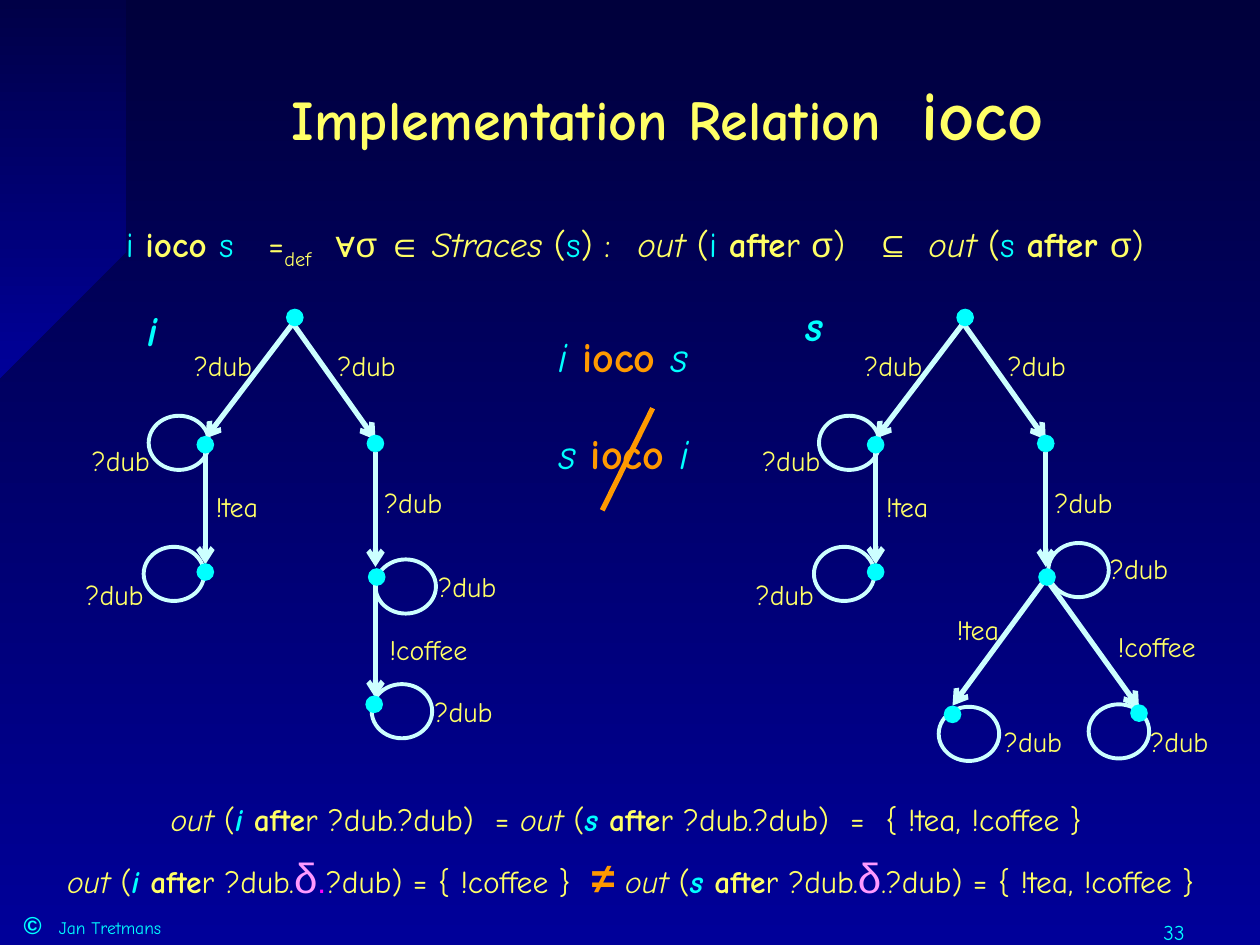
from lxml.etree import SubElement
from pptx import Presentation
from pptx.dml.color import RGBColor
from pptx.enum.shapes import MSO_CONNECTOR as MC, MSO_SHAPE as MS
from pptx.enum.text import MSO_ANCHOR as MA, MSO_AUTO_SIZE as MAS, PP_ALIGN as PA
from pptx.oxml.ns import qn
from pptx.util import Inches, Pt

CYAN, YELLOW, ORANGE, PINK, PALE = "00FFFF", "FFFF66", "FF9900", "FF99FF", "CCFFFF"
FONT = "Comic Neue"
IT = {"italic": True}
BOLD = {"bold": True}
NAME = {"color": CYAN}
NAME_IT = {"color": CYAN, "italic": True}
NAME_BI = {"color": CYAN, "bold": True, "italic": True}
RELATION = {"color": ORANGE, "bold": True}
GREEK = {"font": "Arial"}
DELTA = {"font": "Arial", "size": 24, "color": PINK}

LOOPS = [(1.14, 4.34), (1.18, 3.3)]
ARROWS = [(2.32, 2.56, 2.98, 3.49), (2.36, 2.52, 1.63, 3.48),
          (1.63, 3.57, 1.63, 4.48), (2.98, 3.59, 2.98, 4.5)]
DOTS = [(2.34, 2.52), (2.98, 3.52), (1.63, 3.53), (2.99, 4.58), (1.63, 4.54)]
LABELS = [("?dub", 1.35, 2.66), ("?dub", 2.49, 2.66), ("?dub", 0.54, 3.42),
          ("!tea", 1.46, 3.78), ("?dub", 2.86, 3.75), ("?dub", 0.49, 4.48)]


def rgb(value):
    return RGBColor.from_string(value)


def paint_gradient(fill, top, bottom):
    fill.gradient()
    fill.gradient_angle = 270
    for stop, color in zip(fill.gradient_stops, (top, bottom)):
        stop.color.rgb = rgb(color)


def add_run(p, text, color=None, bold=None, italic=None, size=None, font=None, base=None):
    r = p.add_run()
    r.text = text
    f = r.font
    f.bold, f.italic, f.name = bold, italic, font
    if size:
        f.size = Pt(size)
    if color:
        f.color.rgb = rgb(color)
    if base:
        f._element.set("baseline", str(base))


def write(tf, runs, size, color=YELLOW, align=PA.CENTER, spacing=1.2, tabs=()):
    p = tf.paragraphs[0]
    p.alignment = align
    p.line_spacing = spacing
    if tabs:
        tab_list = SubElement(p._p.get_or_add_pPr(), qn("a:tabLst"))
        for pos in tabs:
            SubElement(tab_list, qn("a:tab"), pos=str(Inches(pos)), algn="l")
    p.font.name, p.font.size = FONT, Pt(size)
    p.font.color.rgb = rgb(color)
    for text, style in runs:
        add_run(p, text, **style)


def add_text(shapes, x, y, w, h, runs, size, anchor=MA.MIDDLE, wrap=False, **kw):
    sp = shapes.add_textbox(Inches(x), Inches(y), Inches(w), Inches(h))
    tf = sp.text_frame
    tf.word_wrap = wrap
    tf.vertical_anchor = anchor
    write(tf, runs, size, **kw)


def add_line(shapes, x1, y1, x2, y2, color=PALE, arrow=True):
    c = shapes.add_connector(MC.STRAIGHT, Inches(x1), Inches(y1), Inches(x2), Inches(y2))
    c.line.color.rgb = rgb(color)
    c.line.width = Pt(3)
    if arrow:
        SubElement(c.line._get_or_add_ln(), qn("a:tailEnd"), type="arrow")
    SubElement(c._element.spPr, qn("a:effectLst"))


def add_loop(shapes, x, y):
    sp = shapes.add_shape(MS.OVAL, Inches(x), Inches(y), Inches(0.48), Inches(0.43))
    sp.shadow.inherit = False
    sp.fill.background()
    sp.line.color.rgb = rgb(PALE)
    sp.line.width = Pt(2.25)


def add_dot(shapes, x, y, d=0.14):
    sp = shapes.add_shape(MS.FLOWCHART_CONNECTOR, Inches(x - d / 2), Inches(y - d / 2),
                          Inches(d), Inches(d))
    sp.shadow.inherit = False
    sp.fill.solid()
    sp.fill.fore_color.rgb = rgb(CYAN)
    sp.line.fill.background()


def add_tree(s, dx, loops, arrows, dots, labels):
    shapes = s.shapes.add_group_shape().shapes
    for x, y in LOOPS + loops:
        add_loop(shapes, x + dx, y)
    for x1, y1, x2, y2 in ARROWS + arrows:
        add_line(shapes, x1 + dx, y1, x2 + dx, y2)
    for x, y in DOTS + dots:
        add_dot(shapes, x + dx, y)
    for text, x, y in LABELS + labels:
        add_text(shapes, x + dx, y, 0.84, 0.42, [(text, {})], 16)


def add_corner(s):
    curve = [(-0.01, 3.12), (0.76, 2.34), (1.22, 1.2), (1.27, -0.01)]
    points = []
    for step in range(33):
        t = step / 32
        weights = ((1 - t) ** 3, 3 * t * (1 - t) ** 2, 3 * t * t * (1 - t), t ** 3)
        points.append(tuple(sum(w * pt[axis] for w, pt in zip(weights, curve))
                            for axis in (0, 1)))
    fb = s.shapes.build_freeform(*points[0], scale=Inches(1))
    fb.add_line_segments(points[1:] + [(-2.34, -0.2)], close=True)
    sp = fb.convert_to_shape()
    sp.shadow.inherit = False
    sp.line.fill.background()
    paint_gradient(sp.fill, "000047", "000099")


def add_title(s):
    sp = s.shapes.title
    sp.left, sp.top, sp.width, sp.height = (Inches(v) for v in (1.05, 0.27, 8.5, 1.25))
    tf = sp.text_frame
    tf.auto_size = MAS.NONE
    tf.vertical_anchor = MA.MIDDLE
    write(tf, [("Implementation Relation  ", BOLD), ("ioco", {"bold": True, "size": 40})],
          32, spacing=1.0)


def add_definition(s):
    runs = [("i ", NAME), ("ioco ", BOLD), ("s", NAME), ("\t=", {}), ("def", {"base": -25000}),
            ("\t", {}), ("∀σ ∈ ", GREEK), ("Straces ", IT), ("(", {}), ("s", NAME), (") :\t", {}),
            ("out ", IT), ("(", {}), ("i ", NAME), ("afte", BOLD), ("r ", {}), ("σ", GREEK),
            (")\t", {}), ("⊆\t", GREEK), ("out ", IT), ("(", {}), ("s ", NAME),
            ("after ", BOLD), ("σ", GREEK), (")", {})]
    add_text(s.shapes, 0.9, 1.72, 8.8, 0.48, runs, 20, anchor=MA.TOP, wrap=True,
             align=PA.LEFT, spacing=1.0, tabs=(1.13, 1.66, 4.06, 5.95, 6.37))


def out_after(name):
    return [("out", IT), (" (", {}), (name + " ", NAME_BI), ("afte", BOLD), ("r ?dub.", {})]


def add_conclusions(s):
    equal = [*out_after("i"), ("?dub)  = ", {}), *out_after("s"),
             ("?dub)  =  { !tea, !coffee }", {})]
    differ = [*out_after("i"), ("δ", DELTA), (".", {"font": "Arial", "color": "FF00FF"}),
              ("?dub) = { !coffee }  ", {}),
              ("≠", {"font": "Arial", "size": 24, "color": ORANGE, "bold": True}), (" ", {}),
              *out_after("s"), ("δ", DELTA), (".?dub) = { !tea, !coffee }", {})]
    add_text(s.shapes, 1.24, 6.24, 7.46, 0.46, equal, 18)
    add_text(s.shapes, 0.4, 6.63, 9.21, 0.58, differ, 18)


def add_relations(s):
    add_text(s.shapes, 4.33, 2.49, 1.23, 0.58,
             [("i", NAME_IT), (" ioco ", RELATION), ("s", NAME_IT)], 24)
    shapes = s.shapes.add_group_shape().shapes
    add_text(shapes, 4.12, 3.26, 1.66, 0.58,
             [("s", NAME_IT), (" ioco ", RELATION), ("i", NAME_IT)], 24)
    add_line(shapes, 5.18, 3.24, 4.78, 4.05, ORANGE, arrow=False)


def add_footer(s):
    add_text(s.shapes, 0.09, 7.17, 4.9, 0.33,
             [("©", {"font": "Arial", "size": 14, "bold": True}), ("\tJan Tretmans", {})],
             10, anchor=MA.TOP, wrap=True, color=CYAN, align=PA.LEFT, spacing=1.0, tabs=(0.28,))
    add_text(s.shapes, 8.58, 7.25, 0.92, 0.25, [("33", {})], 12, anchor=MA.TOP, wrap=True,
             color=CYAN, align=PA.RIGHT, spacing=1.0)


def main():
    prs = Presentation()
    prs.slide_width, prs.slide_height = Inches(10), Inches(7.5)
    s = prs.slides.add_slide(prs.slide_layouts[5])
    paint_gradient(s.background.fill, "00003C", "000099")
    add_corner(s)
    add_title(s)
    add_definition(s)
    add_text(s.shapes, 1.07, 2.29, 0.23, 0.58, [("i", NAME_BI)], 24)
    add_tree(s, 0, [(2.95, 5.43), (2.98, 4.44)], [(2.98, 4.63, 2.98, 5.54)], [(2.97, 5.59)],
             [("?dub", 3.29, 4.42), ("!coffee", 2.98, 4.92), ("?dub", 3.26, 5.41)])
    add_text(s.shapes, 6.15, 2.25, 0.62, 0.58, [("s", NAME_BI)], 24)
    add_tree(s, 5.32, [(3.32, 5.59), (2.13, 5.61), (3, 4.31)],
             [(2.99, 4.58, 2.24, 5.6), (2.98, 4.59, 3.72, 5.62)], [(2.24, 5.67), (3.72, 5.66)],
             [("?dub", 3.3, 4.27), ("!tea", 2.02, 4.76), ("!coffee", 3.44, 4.89),
              ("?dub", 2.46, 5.65), ("?dub", 3.62, 5.65)])
    add_relations(s)
    add_conclusions(s)
    add_footer(s)
    prs.save("out.pptx")


if __name__ == "__main__":
    main()
